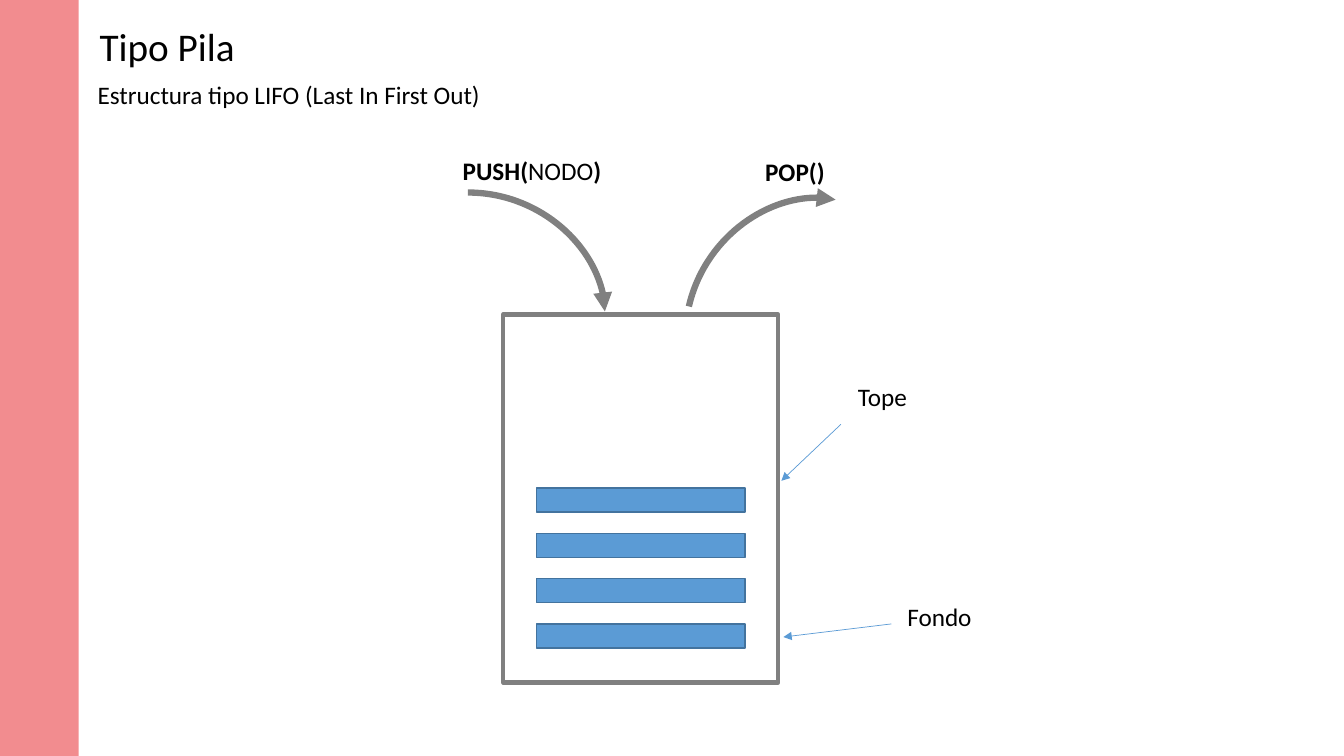
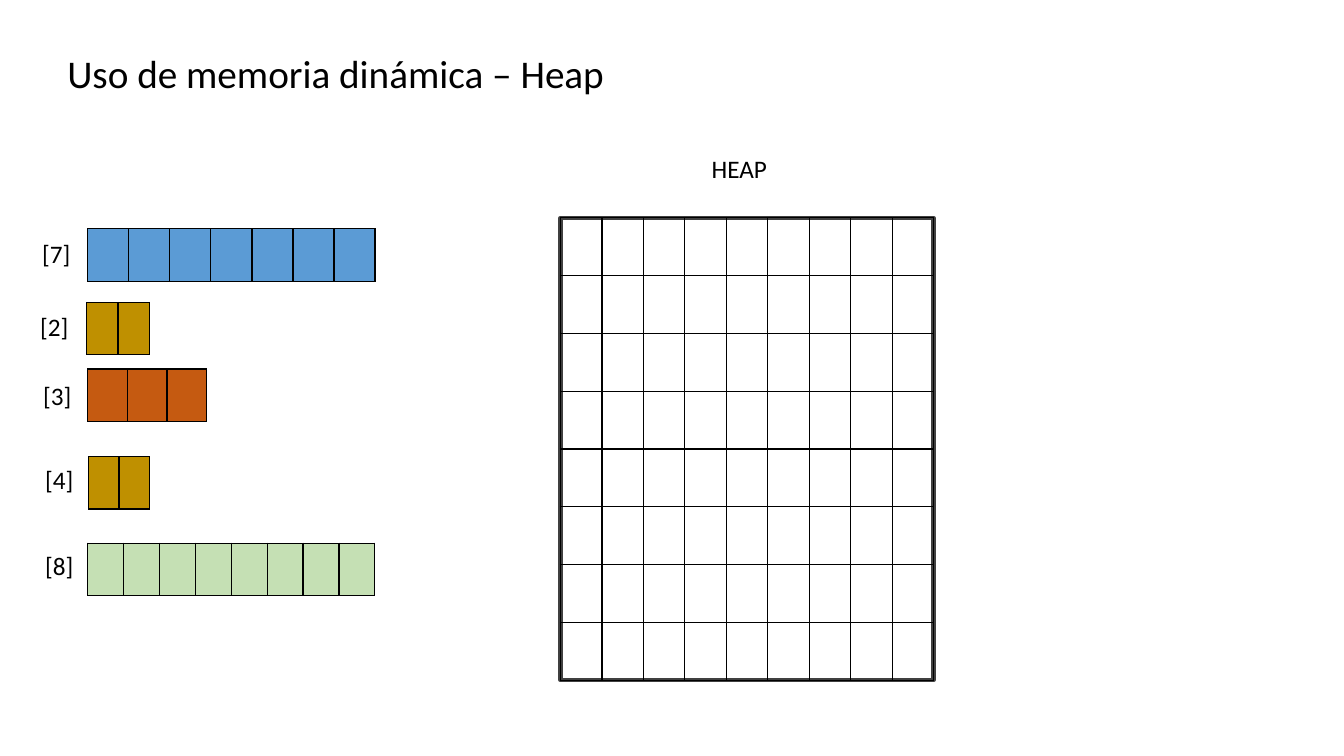
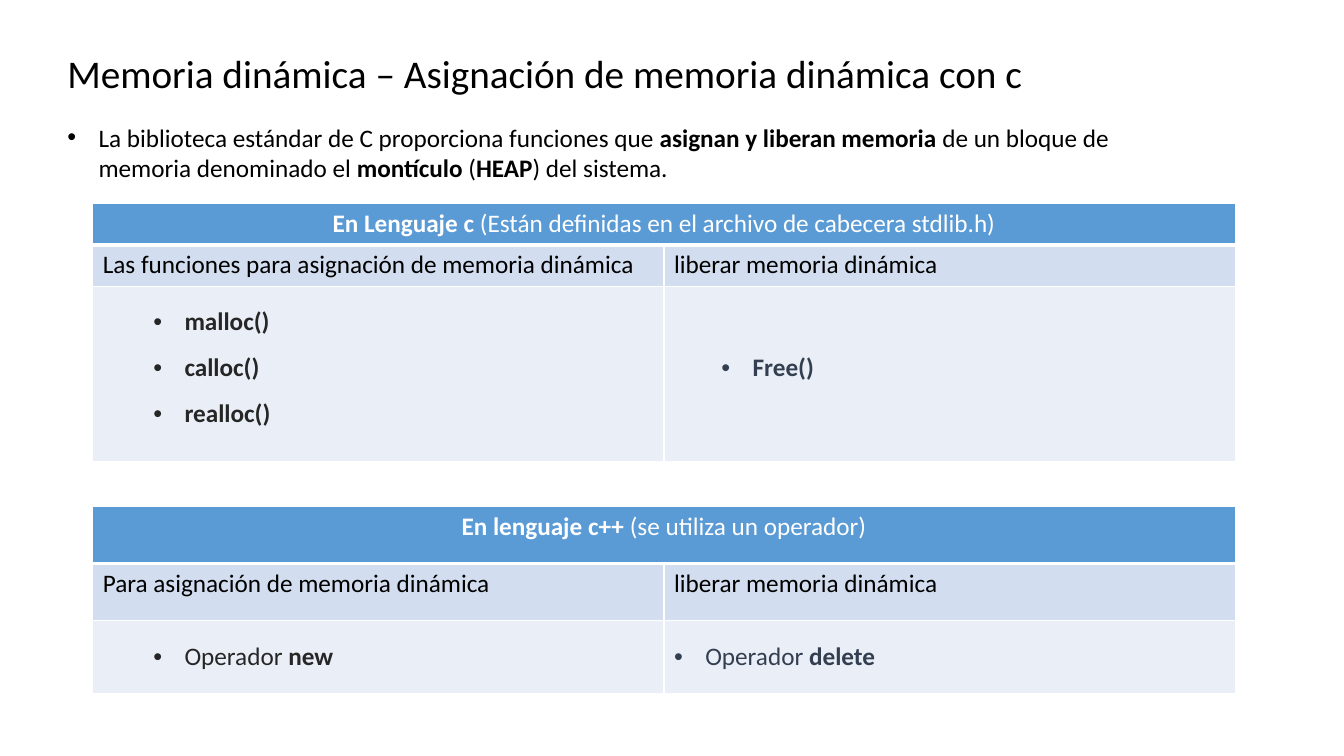
"""Builds three slides on stacks and dynamic memory."""
import pptx
import pptx.util
import pptx.dml.color
import pptx.enum.shapes
import pptx.enum.text
import pptx.oxml
import pptx.oxml.ns
import lxml.etree

Inches = pptx.util.Inches
Pt = pptx.util.Pt
RGB = pptx.dml.color.RGBColor
qn = pptx.oxml.ns.qn
KIND = pptx.enum.shapes.MSO_SHAPE
LINK = pptx.enum.shapes.MSO_CONNECTOR
CENTER = pptx.enum.text.PP_ALIGN.CENTER

FONT = "Calibri"
BLACK = RGB(0x00, 0x00, 0x00)
WHITE = RGB(0xFF, 0xFF, 0xFF)
PINK = RGB(0xF2, 0x8C, 0x8F)
GRAY = RGB(0x80, 0x80, 0x80)
DARK = RGB(0x40, 0x40, 0x40)
BLUE = RGB(0x5B, 0x9B, 0xD5)
EDGE = RGB(0x43, 0x73, 0x9E)
GOLD = RGB(0xBF, 0x90, 0x00)
RUST = RGB(0xC5, 0x5A, 0x11)
GREEN = RGB(0xC5, 0xE0, 0xB4)
MIST = RGB(0xD2, 0xDE, 0xEF)
PALE = RGB(0xEA, 0xEF, 0xF7)
INK = RGB(0x26, 0x26, 0x26)
SLATE = RGB(0x33, 0x3F, 0x50)
TITLE, BODY = 28, 18


def write(par, text, size=BODY, color=BLACK, indent=None):
    """Fill a paragraph; parts between asterisks are bold."""
    par.font.size = Pt(size)
    par.font.name = FONT
    par.font.color.rgb = color
    for i, part in enumerate(text.split("*")):
        if part:
            run = par.add_run()
            run.text = part
            run.font.size = Pt(size)
            run.font.name = FONT
            run.font.color.rgb = color
            run.font.bold = i % 2 == 1
    if indent is not None:
        props = par._p.get_or_add_pPr()
        props.set("marL", str(Inches(indent)))
        props.set("indent", str(Inches(-0.31)))
        face = lxml.etree.SubElement(props, qn("a:buFont"))
        face.set("typeface", "Arial")
        lxml.etree.SubElement(props, qn("a:buChar")).set("char", "•")


def grid(slide, x, y, width, heights, count, fills, color):
    """Add a table with equal columns, thin borders and one fill per row."""
    table = slide.shapes.add_table(
        len(heights), count, Inches(x), Inches(y),
        Inches(width), Inches(sum(heights))).table
    table.first_row = table.horz_banding = False
    for col in table.columns:
        col.width = Inches(width / count)
    for row, height, fill in zip(table.rows, heights, fills):
        row.height = Inches(height)
        for cell in row.cells:
            props = cell._tc.get_or_add_tcPr()
            for side in "LRTB":
                line = lxml.etree.SubElement(props, qn("a:ln" + side), w=str(Pt(1)))
                solid = lxml.etree.SubElement(line, qn("a:solidFill"))
                lxml.etree.SubElement(solid, qn("a:srgbClr"), val=str(color))
            if fill is None:
                cell.fill.background()
            else:
                cell.fill.solid()
                cell.fill.fore_color.rgb = fill
    return table


deck = pptx.Presentation()
deck.slide_width = Inches(13.33)
deck.slide_height = Inches(7.5)
stack, heap, alloc = [deck.slides.add_slide(deck.slide_layouts[6]) for _ in range(3)]

boxes = [
    (stack, 4.99, 3.12, 2.73, 3.65, KIND.FLOWCHART_PROCESS, None, GRAY, 3),
    (stack, -0.02, 0, 0.8, 7.5, KIND.RECTANGLE, PINK, None, 0),
    (heap, 5.56, 2.16, 3.7, 4.59, KIND.RECTANGLE, WHITE, DARK, 3),
]
for i in range(4):
    boxes.append((stack, 5.32, 4.84 + 0.45 * i, 2.07, 0.24, KIND.RECTANGLE, BLUE, EDGE, 1))
for slide, x, y, w, h, kind, fill, edge, thick in boxes:
    box = slide.shapes.add_shape(kind, Inches(x), Inches(y), Inches(w), Inches(h))
    box.shadow.inherit = False
    if fill is None:
        box.fill.background()
    else:
        box.fill.solid()
        box.fill.fore_color.rgb = fill
    if edge is None:
        box.line.fill.background()
    else:
        box.line.color.rgb = edge
        box.line.width = Pt(thick)

texts = [
    (stack.shapes, 0.89, 0.17, 1.56, 0.57, TITLE, False, None, "Tipo Pila"),
    (stack.shapes, 0.87, 0.74, 4.04, 0.4, BODY, False, None,
     "Estructura tipo LIFO (Last In First Out)"),
    (heap.shapes, 0.57, 0.44, 5.73, 0.57, TITLE, True, None,
     "Uso de memoria dinámica – Heap"),
    (heap.shapes, 6.96, 1.47, 0.75, 0.4, BODY, False, None, "HEAP"),
    (alloc.shapes, 0.57, 0.44, 9.96, 0.57, TITLE, False, None,
     "Memoria dinámica – Asignación de memoria dinámica con c"),
    (alloc.shapes, 0.57, 1.16, 11.33, 0.71, BODY, True, 0.31,
     "La biblioteca estándar de C proporciona funciones que *asignan y liberan memoria *"
     "de un bloque de memoria denominado el *montículo* (*HEAP*) del sistema."),
]

arrows = [
    (4.64, 1.91, 6, 3.09, True, 0, 4.49, 1.49, 1.59, "*PUSH(*NODO*)*"),
    (6.88, 1.92, 8.24, 3.1, True, 283, 7.49, 1.5, 0.8, "*POP()*"),
    (8.34, 4.21, 7.75, 4.77, False, 0, 8.41, 3.73, 0.69, "Tope"),
    (8.84, 6.19, 7.77, 6.32, False, 0, 8.9, 5.92, 0.85, "Fondo"),
]
for x, y, to_x, to_y, curved, turn, left, top, width, text in arrows:
    group = stack.shapes.add_group_shape()
    arrow = group.shapes.add_connector(
        LINK.CURVE if curved else LINK.STRAIGHT,
        Inches(x), Inches(y), Inches(to_x), Inches(to_y))
    arrow.line.color.rgb = GRAY if curved else BLUE
    arrow.line.width = Pt(4.5 if curved else 0.5)
    props = arrow.element.spPr
    if curved:
        props.find(qn("a:prstGeom")).set("prst", "curvedConnector2")
    if turn:
        props.find(qn("a:xfrm")).set("rot", str(turn * 60000))
    lxml.etree.SubElement(props.find(qn("a:ln")), qn("a:tailEnd"), type="triangle")
    lxml.etree.SubElement(props, qn("a:effectLst"))
    texts.append((group.shapes, left, top, width, 0.4, BODY, False, None, text))

grid(heap, 5.56, 2.16, 3.7, [4.59 / 8] * 8, 9, [None] * 8, BLACK)
blocks = [
    (0.87, 2.27, 2.85, 7, BLUE, 0.32, 2.32, "[7]"),
    (0.86, 3, 0.62, 2, GOLD, 0.3, 3.04, "[2]"),
    (0.87, 3.66, 1.18, 3, RUST, 0.33, 3.72, "[3]"),
    (0.88, 4.53, 0.6, 2, GOLD, 0.35, 4.56, "[4]"),
    (0.87, 5.39, 2.85, 8, GREEN, 0.35, 5.41, "[8]"),
]
for x, y, width, count, fill, left, top, text in blocks:
    grid(heap, x, y, width, [0.52], count, [fill], BLACK)
    texts.append((heap.shapes, left, top, 0.48, 0.4, BODY, False, None, text))

for shapes, x, y, w, h, size, wrap, indent, text in texts:
    frame = shapes.add_textbox(Inches(x), Inches(y), Inches(w), Inches(h)).text_frame
    frame.word_wrap = wrap
    frame.auto_size = pptx.enum.text.MSO_AUTO_SIZE.SHAPE_TO_FIT_TEXT
    write(frame.paragraphs[0], text, size, BLACK, indent)

tables = [
    (2.02, [0.41, 0.41, 1.74],
     "*En Lenguaje c *(Están definidas en el archivo de cabecera stdlib.h)",
     "Las funciones para asignación de memoria dinámica",
     ["*malloc()*", "*calloc()*", "*realloc()*"], "*Free()*", 0.78, 3.0),
    (5.02, [0.57, 0.57, 0.72],
     "*En lenguaje c++ *(se utiliza un operador)",
     "Para asignación de memoria dinámica",
     ["Operador* new*"], "Operador *delete*", 0.31, 1.5),
]
for y, heights, head, label, items, free, indent, gap in tables:
    table = grid(alloc, 0.92, y, 11.33, heights, 2, [BLUE, MIST, PALE], WHITE)
    for col in range(2):
        table.cell(0, col)._tc.tcPr.find(qn("a:lnB")).set("w", str(Pt(3)))
        table.cell(1, col)._tc.tcPr.find(qn("a:lnT")).set("w", str(Pt(3)))
    table.cell(0, 0).merge(table.cell(0, 1))
    par = table.cell(0, 0).text_frame.paragraphs[0]
    par.alignment = CENTER
    write(par, head, color=WHITE)
    for col, text in enumerate([label, "liberar memoria dinámica"]):
        write(table.cell(1, col).text_frame.paragraphs[0], text)
    frame = table.cell(2, 0).text_frame
    for i, item in enumerate(items):
        par = frame.add_paragraph() if i else frame.paragraphs[0]
        par.line_spacing = 1.5
        write(par, item, color=INK, indent=0.81)
    par = table.cell(2, 1).text_frame.paragraphs[0]
    par.line_spacing = gap
    write(par, free, color=SLATE, indent=indent)

deck.save("out.pptx")
